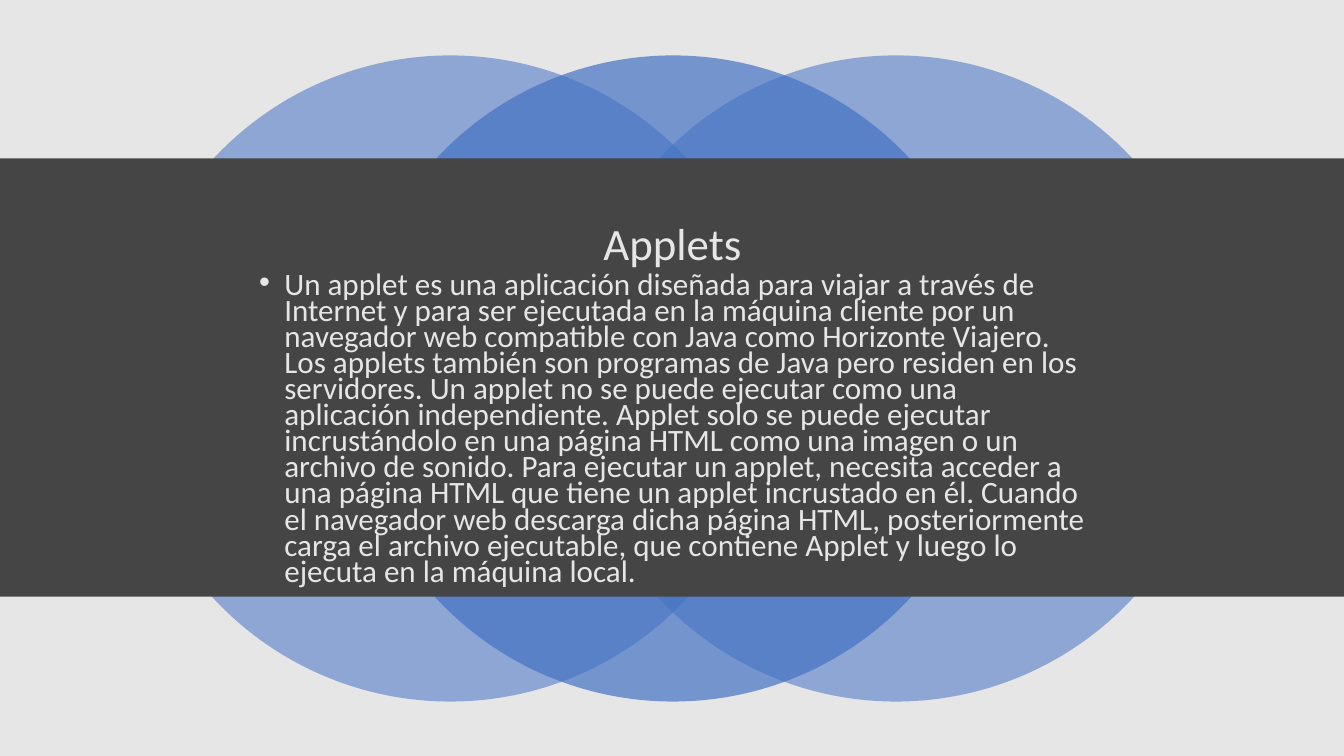
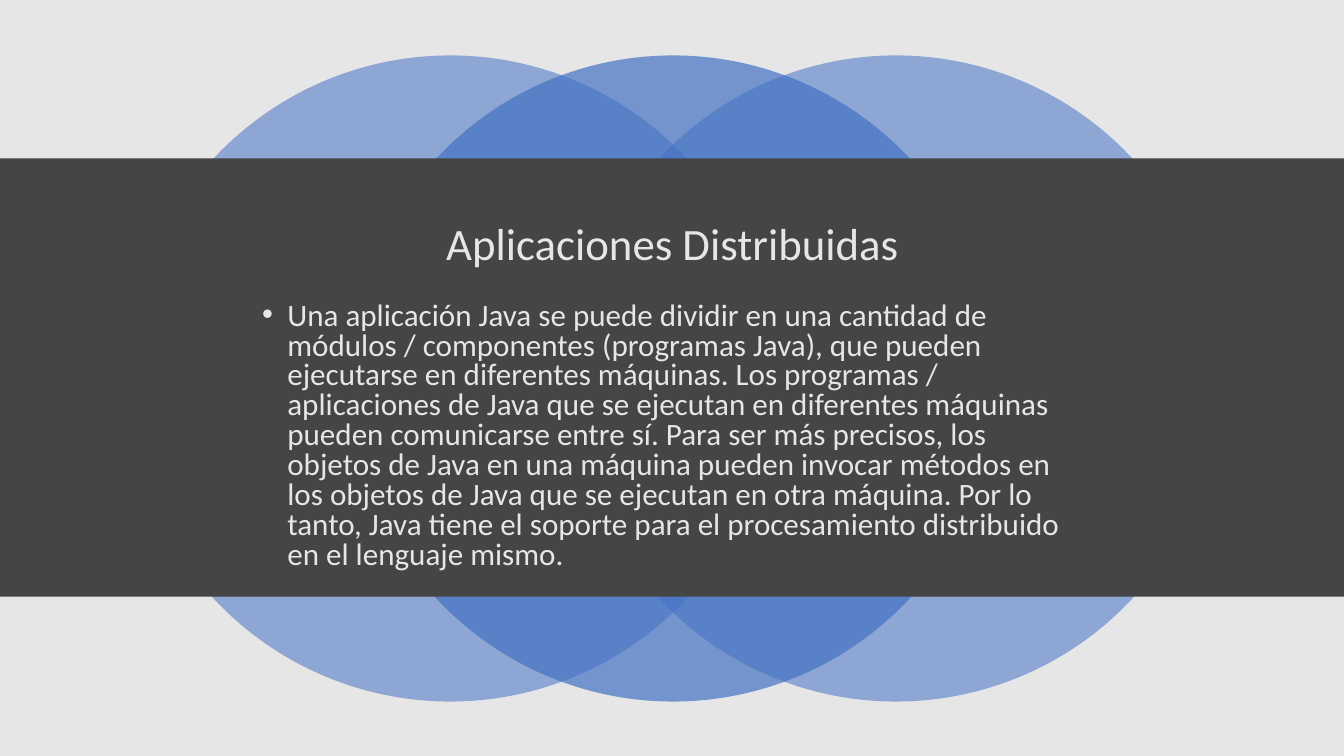
from pptx import Presentation
from pptx.dml.color import RGBColor
from pptx.enum.shapes import MSO_SHAPE
from pptx.enum.text import MSO_ANCHOR, MSO_AUTO_SIZE, PP_ALIGN
from pptx.oxml.ns import qn
from pptx.util import Inches, Pt
from lxml.etree import SubElement

LIGHT = RGBColor(0xE7, 0xE6, 0xE6)
DARK = RGBColor(0x45, 0x45, 0x45)
BLUE = RGBColor(0x44, 0x72, 0xC4)
FONT = "Calibri"

SLIDE_WIDTH, SLIDE_HEIGHT = 13.33, 7.5
FULL_SLIDE = (0, 0, SLIDE_WIDTH, SLIDE_HEIGHT)
CIRCLES_BOX = (1.26, 0.55, 10.83, 6.41)
BAND_BOX = (0, 1.57, SLIDE_WIDTH, 4.35)
TITLE_BOX = (0.92, 1.93, 11.5, 1.02)

# Title, explanation, explanation box, line spacing
TOPICS = [
    (
        "Applets",
        "Un applet es una aplicación diseñada para viajar a través de Internet y para ser "
        "ejecutada en la máquina cliente por un navegador web compatible con Java como "
        "Horizonte Viajero. Los applets también son programas de Java pero residen en los "
        "servidores. Un applet no se puede ejecutar como una aplicación independiente. "
        "Applet solo se puede ejecutar incrustándolo en una página HTML como una imagen o "
        "un archivo de sonido. Para ejecutar un applet, necesita acceder a una página HTML "
        "que tiene un applet incrustado en él. Cuando el navegador web descarga dicha "
        "página HTML, posteriormente carga el archivo ejecutable, que contiene Applet y "
        "luego lo ejecuta en la máquina local.",
        (2.47, 2.67, 8.45, 3.25),
        0.7,
    ),
    (
        "Aplicaciones Distribuidas",
        "Una aplicación Java se puede dividir en una cantidad de módulos / componentes "
        "(programas Java), que pueden ejecutarse en diferentes máquinas. Los programas / "
        "aplicaciones de Java que se ejecutan en diferentes máquinas pueden comunicarse "
        "entre sí. Para ser más precisos, los objetos de Java en una máquina pueden invocar "
        "métodos en los objetos de Java que se ejecutan en otra máquina. Por lo tanto, Java "
        "tiene el soporte para el procesamiento distribuido en el lenguaje mismo.",
        (2.5, 2.95, 8.39, 2.81),
        0.8,
    ),
]


def add_filled(shapes, preset, box, color, opacity=100):
    """Add a borderless shape; opacity is a percentage."""
    shape = shapes.add_shape(preset, *map(Inches, box))
    shape.shadow.inherit = False
    shape.line.fill.background()
    shape.fill.solid()
    shape.fill.fore_color.rgb = color
    if opacity < 100:
        srgb = shape._element.spPr.find(qn("a:solidFill")).find(qn("a:srgbClr"))
        SubElement(srgb, qn("a:alpha"), val=str(opacity * 1000))


def add_circles(slide, box):
    """Overlap three circles across the box, the middle one in front."""
    left, top, width, diameter = box
    step = (width - diameter) / 2
    group = slide.shapes.add_group_shape()
    for position, opacity in ((0, 55), (2, 55), (1, 70)):
        circle_box = (left + position * step, top, diameter, diameter)
        add_filled(group.shapes, MSO_SHAPE.OVAL, circle_box, BLUE, opacity)


def fill_placeholder(placeholder, box, text, size, line_spacing, anchor):
    """Place the placeholder in front of the backdrop and return its paragraph."""
    placeholder.left, placeholder.top, placeholder.width, placeholder.height = map(Inches, box)
    frame = placeholder.text_frame
    frame.text = text
    frame.word_wrap = True
    frame.auto_size = MSO_AUTO_SIZE.NONE
    frame.vertical_anchor = anchor
    paragraph = frame.paragraphs[0]
    paragraph.line_spacing = line_spacing
    paragraph.font.name = FONT
    paragraph.font.size = Pt(size)
    paragraph.font.color.rgb = LIGHT
    tree = placeholder._element.getparent()
    tree.append(placeholder._element)
    return paragraph


def add_bullet(paragraph):
    properties = paragraph._p.get_or_add_pPr()
    properties.set("marL", str(Inches(0.25)))
    properties.set("indent", str(Inches(-0.25)))
    bullet_font = properties.makeelement(qn("a:buFont"), {"typeface": "Arial"})
    bullet = properties.makeelement(qn("a:buChar"), {"char": "•"})
    properties.find(qn("a:defRPr")).addprevious(bullet_font)
    bullet_font.addnext(bullet)


def add_topic_slide(prs, title, explanation, explanation_box, line_spacing):
    slide = prs.slides.add_slide(prs.slide_layouts[1])
    slide.background.fill.solid()
    slide.background.fill.fore_color.rgb = DARK
    add_filled(slide.shapes, MSO_SHAPE.RECTANGLE, FULL_SLIDE, LIGHT)
    add_circles(slide, CIRCLES_BOX)
    add_filled(slide.shapes, MSO_SHAPE.RECTANGLE, BAND_BOX, DARK)

    heading = fill_placeholder(slide.shapes.title, TITLE_BOX, title, 32, 0.9, MSO_ANCHOR.MIDDLE)
    heading.alignment = PP_ALIGN.CENTER
    body = fill_placeholder(slide.placeholders[1], explanation_box, explanation, 22.2,
                            line_spacing, MSO_ANCHOR.TOP)
    body.space_before = Pt(10)
    add_bullet(body)


def main():
    prs = Presentation()
    prs.slide_width = Inches(SLIDE_WIDTH)
    prs.slide_height = Inches(SLIDE_HEIGHT)
    for topic in TOPICS:
        add_topic_slide(prs, *topic)
    prs.save("out.pptx")


if __name__ == "__main__":
    main()
